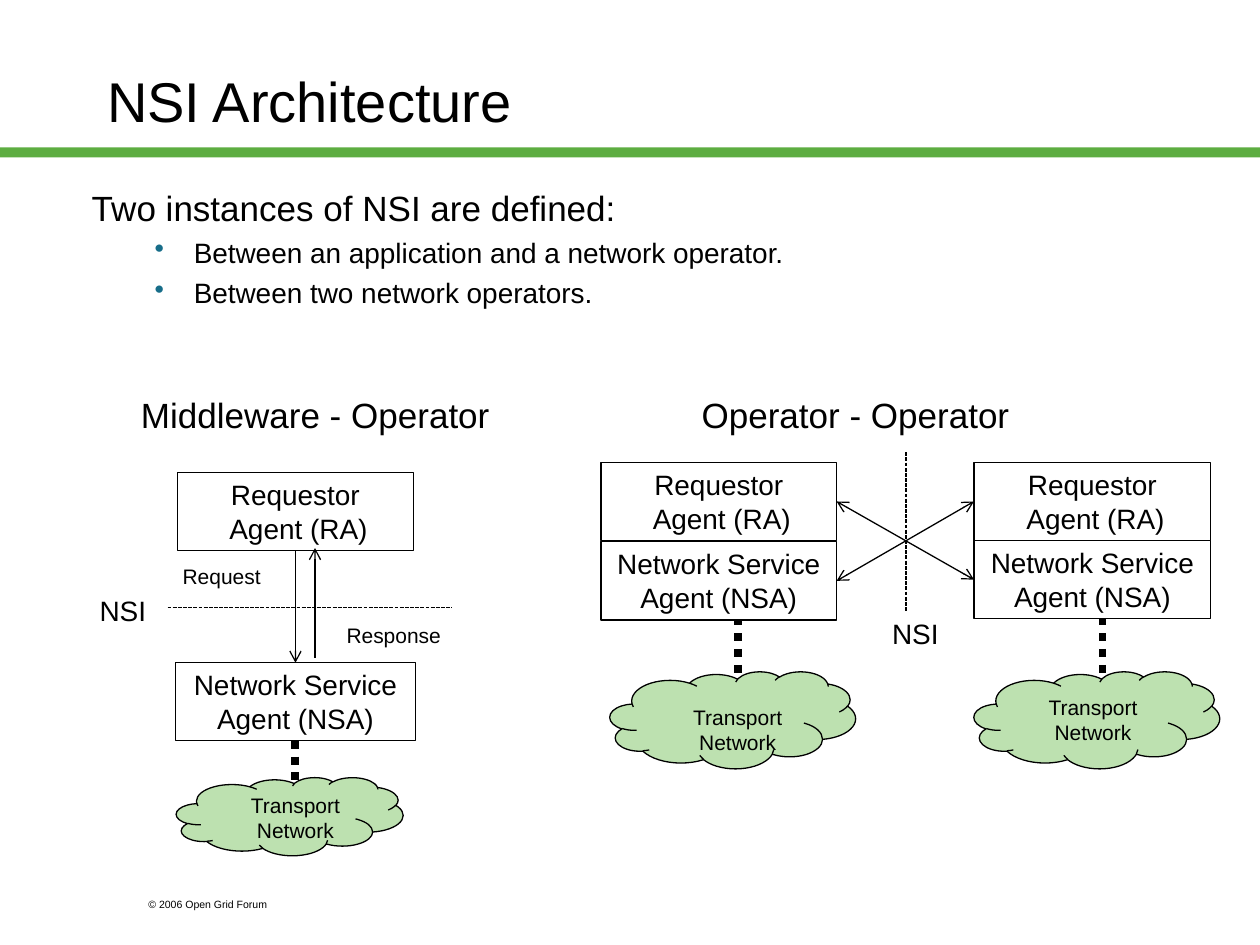
from dataclasses import dataclass
from typing import NamedTuple, Optional

from lxml.etree import SubElement
from pptx import Presentation
from pptx.dml.color import RGBColor
from pptx.enum.dml import MSO_LINE_DASH_STYLE as Dash
from pptx.enum.shapes import MSO_CONNECTOR_TYPE as Connector, MSO_SHAPE as Shape
from pptx.enum.text import MSO_ANCHOR as Anchor, PP_ALIGN as Align
from pptx.oxml.ns import qn
from pptx.util import Inches, Pt


@dataclass(frozen=True)
class Theme:
    font: str = "Arial"
    ink: RGBColor = RGBColor(0, 0, 0)
    paper: RGBColor = RGBColor(0xFF, 0xFF, 0xFF)
    rule: RGBColor = RGBColor(0x5D, 0xAD, 0x41)
    cloud: RGBColor = RGBColor(0xBD, 0xE1, 0xB0)
    bullet: str = "176D89"
    title: float = 32
    heading: float = 20
    body: float = 16
    small: float = 12
    footer: float = 6
    outline: float = 0.75
    link: float = 4.5


class Box(NamedTuple):
    left: float
    top: float
    width: float
    height: float

    def lengths(self):
        return [Inches(value) for value in self]


class Label(NamedTuple):
    text: str
    box: Box
    size: float
    align: Align = Align.CENTER
    inset: tuple = (0.09, 0.04)


class Network(NamedTuple):
    link_x: float
    link_top: float
    cloud: Box
    label: Box


class Operator(NamedTuple):
    requestor: Box
    service: Box
    network: Network


THEME = Theme()
WIDE_INSET = (0.1, 0.05)
REQUESTOR = "Requestor\n Agent (RA)"
SERVICE = "Network Service Agent (NSA)"

MIDDLEWARE = Operator(
    Box(1.41, 3.75, 1.87, 0.62),
    Box(1.39, 5.26, 1.91, 0.62),
    Network(2.34, 5.63, Box(1.4, 6.17, 1.8, 0.62), Box(1.72, 6.25, 1.25, 0.49)),
)
LEFT_OPERATOR = Operator(
    Box(4.77, 3.67, 1.87, 0.62),
    Box(4.77, 4.3, 1.87, 0.62),
    Network(5.86, 4.65, Box(4.84, 5.33, 1.95, 0.77), Box(5.23, 5.55, 1.25, 0.49)),
)
RIGHT_OPERATOR = Operator(
    Box(7.73, 3.67, 1.88, 0.62),
    Box(7.73, 4.29, 1.88, 0.62),
    Network(8.75, 4.65, Box(7.73, 5.33, 1.95, 0.77), Box(8.05, 5.47, 1.25, 0.49)),
)

LABELS = [
    Label("NSI", Box(0.62, 4.67, 0.71, 0.36), THEME.body),
    Label("Request", Box(1.33, 4.43, 0.86, 0.29), THEME.small),
    Label("Response", Box(2.58, 4.9, 1.09, 0.29), THEME.small),
    Label("NSI", Box(6.88, 4.85, 0.77, 0.36), THEME.body),
    Label("Middleware - Operator", Box(1.02, 3.07, 3.2, 0.47), THEME.heading,
          Align.LEFT, WIDE_INSET),
    Label("Operator - Operator", Box(5.47, 3.07, 3.2, 0.47), THEME.heading,
          Align.LEFT, WIDE_INSET),
    Label("© 2006 Open Grid Forum", Box(1.08, 7.08, 1.5, 0.2), THEME.footer,
          Align.LEFT, WIDE_INSET),
]


def set_font(paragraph, size: float) -> None:
    paragraph.font.name = THEME.font
    paragraph.font.size = Pt(size)
    paragraph.font.color.rgb = THEME.ink


def write(frame, text: str, size: float, align: Align, inset: tuple,
          anchor: Anchor = Anchor.TOP) -> None:
    frame.text = text
    frame.word_wrap = True
    frame.vertical_anchor = anchor
    frame.margin_left = frame.margin_right = Inches(inset[0])
    frame.margin_top = frame.margin_bottom = Inches(inset[1])
    for paragraph in frame.paragraphs:
        paragraph.alignment = align
        set_font(paragraph, size)


def add_label(slide, label: Label):
    holder = slide.shapes.add_textbox(*label.box.lengths())
    write(holder.text_frame, label.text, label.size, label.align, label.inset)
    return holder


def add_block(slide, kind: Shape, box: Box, fill: Optional[RGBColor], outlined: bool = True):
    block = slide.shapes.add_shape(kind, *box.lengths())
    block.shadow.inherit = False
    if fill is None:
        block.fill.background()
    else:
        block.fill.solid()
        block.fill.fore_color.rgb = fill
    if outlined:
        block.line.color.rgb = THEME.ink
        block.line.width = Pt(THEME.outline)
    else:
        block.line.fill.background()
    return block


def add_line(slide, start: tuple = (0, 0), end: tuple = (0, 0), width: float = THEME.outline,
             dash: Optional[Dash] = None, arrows: tuple = ()):
    connector = slide.shapes.add_connector(
        Connector.STRAIGHT, *[Inches(value) for value in (*start, *end)])
    connector.line.color.rgb = THEME.ink
    connector.line.width = Pt(width)
    if dash is not None:
        connector.line.dash_style = dash
    properties = connector._element.spPr
    for arrow in arrows:
        SubElement(properties.find(qn("a:ln")), qn(f"a:{arrow}"), type="arrow")
    SubElement(properties, qn("a:effectLst"))
    return connector


def join(slide, first, first_side: int, second, second_side: int, arrows: tuple) -> None:
    connector = add_line(slide, arrows=arrows)
    connector.begin_connect(first, first_side)
    connector.end_connect(second, second_side)


def add_operator(slide, operator: Operator) -> tuple:
    network = operator.network
    add_line(slide, (network.link_x, network.link_top),
             (network.link_x, network.cloud.top + 0.08), THEME.link, Dash.ROUND_DOT)
    add_block(slide, Shape.CLOUD, network.cloud, THEME.cloud)
    add_label(slide, Label("Transport Network", network.label, THEME.small))
    agents = []
    for text, box, fill in ((REQUESTOR, operator.requestor, None),
                            (SERVICE, operator.service, THEME.paper)):
        agent = add_block(slide, Shape.RECTANGLE, box, fill)
        write(agent.text_frame, text, THEME.body, Align.CENTER, (0.09, 0.04))
        agents.append(agent)
    return tuple(agents)


def add_definitions(slide) -> None:
    text = ("Two instances of NSI are defined:\n"
            "Between an application and a network operator.\n"
            "Between two network operators.")
    holder = add_label(slide, Label(text, Box(0.63, 1.43, 8.5, 1.09), THEME.body,
                                    Align.LEFT, WIDE_INSET))
    lead, *points = holder.text_frame.paragraphs
    set_font(lead, THEME.heading)
    for point in points:
        point.level = 1
        point.space_before = Pt(4)
        properties = point._p.get_or_add_pPr()
        properties.set("marL", str(Inches(0.81)))
        properties.set("indent", str(Inches(-0.31)))
        mark = SubElement(properties, qn("a:buChar"), char="•")
        tint = SubElement(properties, qn("a:buClr"))
        SubElement(tint, qn("a:srgbClr"), val=THEME.bullet)
        default_font = properties.find(qn("a:defRPr"))
        for element in (tint, mark):
            default_font.addprevious(element)


def main() -> None:
    deck = Presentation()
    deck.slide_width, deck.slide_height = Inches(10), Inches(7.5)
    slide = deck.slides.add_slide(deck.slide_layouts[5])

    add_block(slide, Shape.RECTANGLE, Box(0, 1.17, 10, 0.08), THEME.rule, outlined=False)
    title = slide.shapes.title
    title.left, title.top, title.width, title.height = Box(0.75, 0.17, 8.5, 1.25).lengths()
    write(title.text_frame, "NSI Architecture", THEME.title, Align.LEFT, WIDE_INSET,
          Anchor.MIDDLE)
    add_definitions(slide)

    requestor, service = add_operator(slide, MIDDLEWARE)
    join(slide, requestor, 2, service, 0, ("tailEnd",))
    add_line(slide, (2.5, 5.22), (2.5, 4.35), arrows=("tailEnd",))
    add_line(slide, (1.33, 4.82), (3.59, 4.82), dash=Dash.SQUARE_DOT)

    left_requestor, left_service = add_operator(slide, LEFT_OPERATOR)
    right_requestor, right_service = add_operator(slide, RIGHT_OPERATOR)
    both_ends = ("headEnd", "tailEnd")
    join(slide, left_requestor, 3, right_service, 1, both_ends)
    join(slide, right_requestor, 1, left_service, 3, both_ends)
    add_line(slide, (7.19, 3.59), (7.19, 4.85), dash=Dash.SQUARE_DOT)

    for label in LABELS:
        add_label(slide, label)
    deck.save("out.pptx")


if __name__ == "__main__":
    main()
